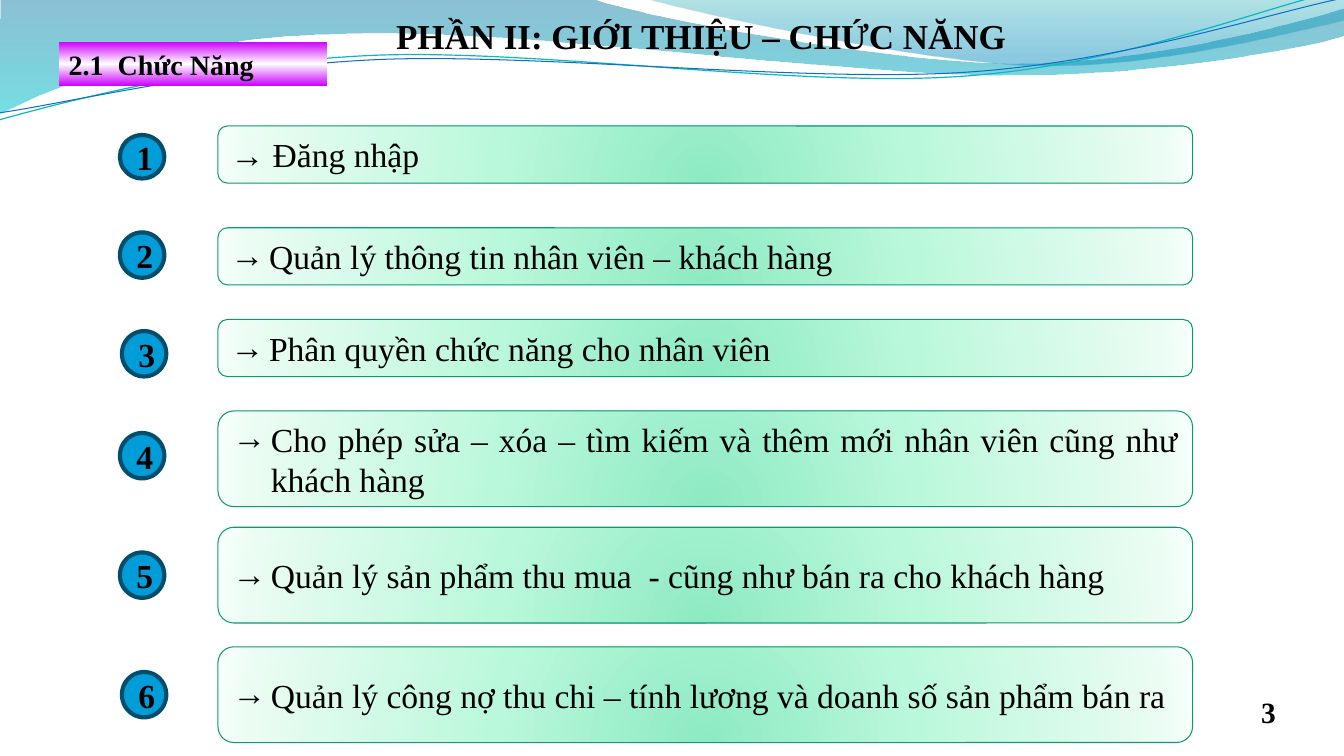
import dataclasses
import math
from typing import Any, Optional

import pptx
import pptx.dml.color
import pptx.enum.shapes
import pptx.enum.text
import pptx.oxml
import pptx.oxml.ns
import pptx.util

Pt = pptx.util.Pt
Kind = pptx.enum.shapes.MSO_SHAPE
Align = pptx.enum.text.PP_ALIGN
Anchor = pptx.enum.text.MSO_ANCHOR
NAMESPACE = pptx.oxml.ns.nsdecls("a")
FONT = "Times New Roman"
VERTICAL = '<a:lin ang="5400000" scaled="0"/>'
GLOW = ('<a:path path="circle"><a:fillToRect l="50000" t="130000" '
        'r="50000" b="-30000"/></a:path>')


@dataclasses.dataclass
class Stop:
    position: int
    color: str
    opacity: int = 100


@dataclasses.dataclass
class Wave:
    """Segments hold 2 numbers for a line, 6 for a Bézier curve."""
    start: tuple[float, float]
    segments: list[tuple[float, ...]]
    stops: Optional[list[Stop]] = None
    line: str = ""
    weight: float = 0
    tilt: float = 0
    pivot: tuple[float, float] = (0, 0)


@dataclasses.dataclass
class Feature:
    text: str
    top: float
    height: float
    badge_top: float
    badge_left: float = 85.7
    badge_height: float = 32.4
    bullet: bool = True


WAVES = [
    Wave((0, 0), [
        (422.6, -0.7),
        (456.5, 12.2, 636.5, 45.4, 727.9, 45.4),
        (818.6, 45.4, 919.4, 18.7, 959.8, 6.5),
        (960.5, 25.9),
        (943.9, 31.7, 834.5, 54.7, 715.7, 54),
        (596.9, 54, 366.5, 20.2, 247, 24.5),
        (123.8, 25.9, 43.9, 59.8, -0.7, 81.4),
        (0, 0),
    ], [Stop(0, "0074A1", 45), Stop(100, "00C6CF", 55)]),
    Wave((460.1, -0.7), [
        (488.9, 7.9, 654.5, 44.6, 738, 46.8),
        (820.8, 49.7, 923, 23, 959.8, 15.1),
        (959.8, 0),
        (460.1, -0.7),
    ], [Stop(0, "00A1A9", 30), Stop(80, "008BBF", 45)]),
    Wave((-0.7, 85.7), [
        (46.1, 72.7, 151.9, 44.6, 265.7, 39.6),
        (379.4, 34.6, 568.1, 62.6, 684, 54.7),
        (799.2, 47.5, 900.7, 5.8, 958.3, -7.2),
    ], line="0AB8BF", weight=0.85, tilt=-2.7, pivot=(478.8, 41.4)),
    Wave((0, 80.6), [
        (45.4, 74.2, 157, 47.5, 272.2, 42.5),
        (386.6, 38.2, 573.1, 59, 687.6, 51.8),
        (802.1, 44.6, 903.6, 10.1, 959.8, -1.4),
    ], line="0F6FC6", weight=0.75, tilt=-2.7, pivot=(480.2, 42.5)),
]
FEATURES = [
    Feature("→ Đăng nhập", 90, 40.8, 96.5, badge_height=31, bullet=False),
    Feature("Quản lý thông tin nhân viên – khách hàng", 162.7, 40.8, 166),
    Feature("Phân quyền chức năng cho nhân viên", 228.2, 40.8, 236.5, 87.1),
    Feature("Cho phép sửa – xóa – tìm kiếm và thêm mới nhân viên cũng như khách hàng",
            293.5, 68.4, 309.3),
    Feature("Quản lý sản phẩm thu mua  - cũng như bán ra cho khách hàng",
            376.6, 68.4, 394.6),
    Feature("Quản lý công nợ thu chi – tính lương và doanh số sản phẩm bán ra",
            462, 68.4, 480, 87.1),
]
FEATURE_STOPS = [Stop(0, "8DEAC2"), Stop(43, "BAF8DB"),
                 Stop(93, "EAFCF3"), Stop(100, "F7FFFB")]
BAR_STOPS = [Stop(0, "CC00FF"), Stop(50, "FFFFFF"), Stop(100, "CC00FF")]


def rgb(color: str) -> pptx.dml.color.RGBColor:
    return pptx.dml.color.RGBColor.from_string(color)


def apply(target: Any, formats: dict[str, Any]) -> None:
    for name, value in formats.items():
        setattr(target, name, value)


def fill_gradient(shape: Any, stops: list[Stop], direction: str) -> None:
    marks = "".join(
        f'<a:gs pos="{stop.position * 1000}"><a:srgbClr val="{stop.color}">'
        f'<a:alpha val="{stop.opacity * 1000}"/></a:srgbClr></a:gs>' for stop in stops)
    shape.fill.background()
    properties = shape._element.spPr
    gradient = pptx.oxml.parse_xml(
        f"<a:gradFill {NAMESPACE}><a:gsLst>{marks}</a:gsLst>{direction}</a:gradFill>")
    properties.replace(properties.find(pptx.oxml.ns.qn("a:noFill")), gradient)


def outline(shape: Any, color: str, weight: float) -> None:
    if color:
        shape.line.color.rgb = rgb(color)
        shape.line.width = Pt(weight)
    else:
        shape.line.fill.background()


def write(shape: Any, text: str, size: float, bold: bool, alignment: Any,
          anchor: Any = Anchor.MIDDLE) -> Any:
    apply(shape.text_frame, {"text": text, "word_wrap": True, "vertical_anchor": anchor})
    paragraph = shape.text_frame.paragraphs[0]
    paragraph.alignment = alignment
    font = paragraph.runs[0].font
    apply(font, {"name": FONT, "size": Pt(size), "bold": bold})
    font.color.rgb = rgb("000000")
    return paragraph


def add_arrow_bullet(paragraph: Any) -> None:
    paragraph.space_before = Pt(6)
    properties = paragraph._p.get_or_add_pPr()
    properties.set("marL", str(Pt(27.4)))
    properties.set("indent", str(-Pt(27.4)))
    for tag in (f'<a:buFont {NAMESPACE} typeface="{FONT}"/>',
                f'<a:buChar {NAMESPACE} char="→"/>'):
        properties.append(pptx.oxml.parse_xml(tag))


def level(wave: Wave, x: float, y: float) -> tuple[int, int]:
    """Turn a point back by the tilt, which the shape's rotation restores."""
    angle = math.radians(-wave.tilt)
    across, down = x - wave.pivot[0], y - wave.pivot[1]
    return (Pt(wave.pivot[0] + across * math.cos(angle) - down * math.sin(angle)),
            Pt(wave.pivot[1] + across * math.sin(angle) + down * math.cos(angle)))


def bend(shape: Any, segments: list[tuple[float, ...]]) -> None:
    """Join each three points of a curved segment into one Bézier curve."""
    lines = iter(list(shape._element.iter(pptx.oxml.ns.qn("a:lnTo"))))
    for segment in segments:
        group = [next(lines) for _ in range(len(segment) // 2)]
        if len(group) == 3:
            curve = pptx.oxml.parse_xml(f"<a:cubicBezTo {NAMESPACE}/>")
            group[0].addprevious(curve)
            for line in group:
                curve.append(line[0])
                line.getparent().remove(line)


def draw_wave(slide: Any, wave: Wave) -> None:
    points = [level(wave, *segment[index:index + 2]) for segment in wave.segments
              for index in range(0, len(segment), 2)]
    builder = slide.shapes.build_freeform(*level(wave, *wave.start))
    builder.add_line_segments(points, close=wave.stops is not None)
    shape = builder.convert_to_shape()
    bend(shape, wave.segments)
    shape.rotation = wave.tilt
    shape.shadow.inherit = False
    if wave.stops:
        fill_gradient(shape, wave.stops, VERTICAL)
    else:
        shape.fill.background()
    outline(shape, wave.line, wave.weight)


def add_box(slide: Any, kind: Any, left: float, top: float, width: float, height: float,
            line: str = "", weight: float = 0) -> Any:
    shape = slide.shapes.add_shape(kind, Pt(left), Pt(top), Pt(width), Pt(height))
    shape.shadow.inherit = False
    outline(shape, line, weight)
    return shape


def draw_feature(slide: Any, number: int, feature: Feature) -> None:
    panel = add_box(slide, Kind.ROUNDED_RECTANGLE, 155.7, feature.top, 696.2,
                    feature.height, "0A9B74", 0.75)
    fill_gradient(panel, FEATURE_STOPS, GLOW)
    paragraph = write(panel, feature.text, 24, False,
                      Align.JUSTIFY if feature.bullet else Align.LEFT)
    if feature.bullet:
        add_arrow_bullet(paragraph)
    badge = add_box(slide, Kind.OVAL, feature.badge_left, feature.badge_top, 31.7,
                    feature.badge_height, "004E6C", 3)
    badge.fill.solid()
    badge.fill.fore_color.rgb = rgb("009DD9")
    write(badge, str(number), 24, True, Align.CENTER)


def main() -> None:
    presentation = pptx.Presentation()
    apply(presentation, {"slide_width": Pt(960), "slide_height": Pt(540)})
    slide = presentation.slides.add_slide(presentation.slide_layouts[5])

    # Background waves and feature rows
    for wave in WAVES:
        draw_wave(slide, wave)
    for number, feature in enumerate(FEATURES, 1):
        draw_feature(slide, number, feature)

    # Title, raised above the waves
    title = slide.shapes.title
    apply(title, {"left": Pt(245.8), "top": Pt(5.8), "width": Pt(509.8), "height": Pt(38.9)})
    write(title, "PHẦN II: GIỚI THIỆU – CHỨC NĂNG", 25, True, Align.CENTER, Anchor.TOP)
    apply(title.text_frame, {"margin_left": Pt(8.6), "margin_right": Pt(8.6),
                             "margin_top": Pt(4.3), "margin_bottom": Pt(4.3)})
    slide.shapes._spTree.append(title._element)

    # Section bar and page number
    bar = add_box(slide, Kind.RECTANGLE, 42, 29.8, 191.8, 31.6)
    fill_gradient(bar, BAR_STOPS, VERTICAL)
    write(bar, "2.1  Chức Năng", 20, True, Align.LEFT)
    page = slide.shapes.add_textbox(Pt(893.8), Pt(492.2), Pt(48.2), Pt(32.4))
    write(page, "3", 21, True, Align.LEFT, Anchor.TOP)

    presentation.save("out.pptx")


if __name__ == "__main__":
    main()
